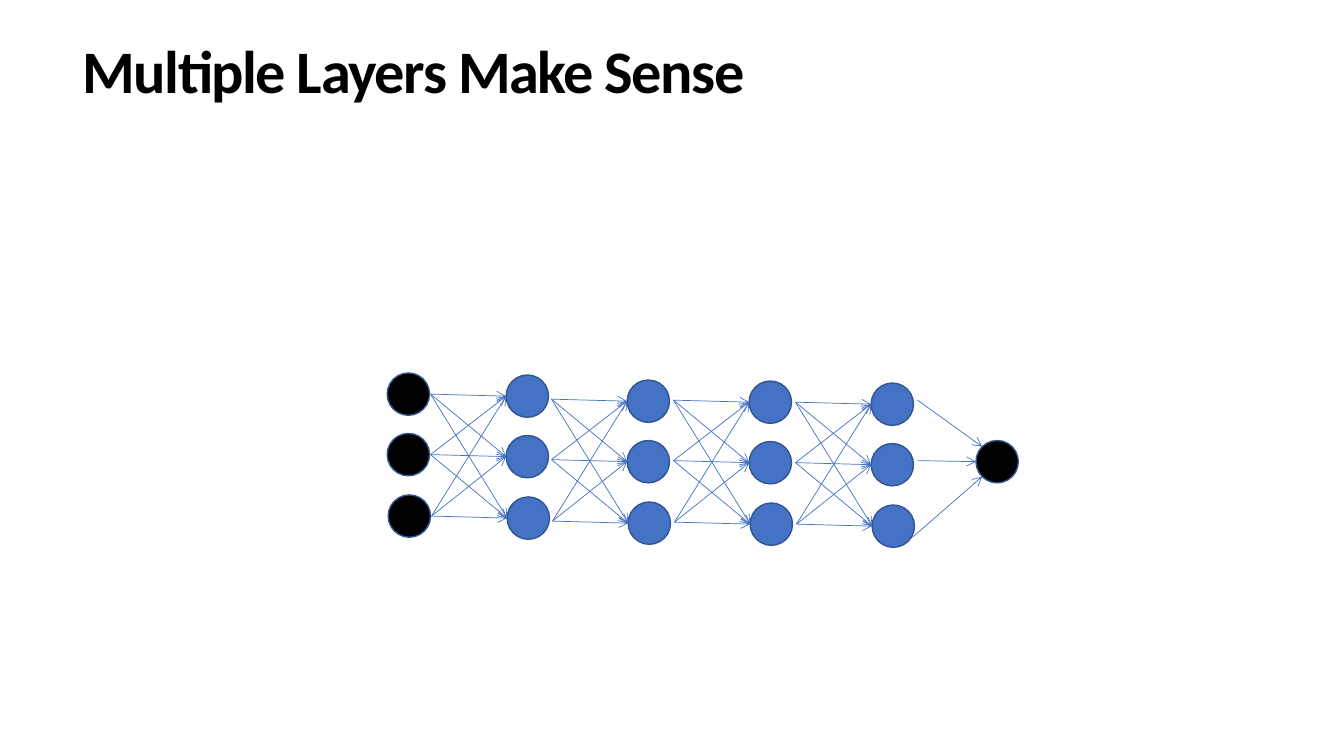
from dataclasses import dataclass

from lxml import etree
from pptx import Presentation
from pptx.dml.color import RGBColor
from pptx.enum.shapes import MSO_CONNECTOR, MSO_SHAPE
from pptx.enum.text import MSO_ANCHOR, MSO_AUTO_SIZE, PP_ALIGN
from pptx.oxml.ns import qn
from pptx.slide import Slide
from pptx.util import Inches, Pt

OVAL = MSO_SHAPE.OVAL
STRAIGHT = MSO_CONNECTOR.STRAIGHT
TOP = MSO_ANCHOR.TOP
FIXED = MSO_AUTO_SIZE.NONE
JUSTIFY = PP_ALIGN.JUSTIFY

BLACK, BLUE, EDGE = "000000", "4472C4", "325491"
SIZE = 0.42
HALF = SIZE / 2
ROWS = [(0, 0), (0, 0.6), (0.01, 1.21)]  # node offsets within a layer
TAIL = (-0.75, 0.19)  # arrow start relative to the layer it points to


@dataclass
class Layer:
    left: float
    top: float
    fill: str = BLUE


@dataclass
class Arrow:
    x1: float
    y1: float
    x2: float
    y2: float


LAYERS = [
    Layer(3.84, 3.7, BLACK),
    Layer(5.02, 3.72),
    Layer(6.22, 3.77),
    Layer(7.43, 3.78),
    Layer(8.64, 3.8),
]
EXITS = [
    Arrow(9.1, 3.97, 9.74, 4.43),
    Arrow(9.1, 4.57, 9.68, 4.58),
    Arrow(9.05, 5.33, 9.74, 4.73),
]


def color(code: str) -> RGBColor:
    return RGBColor.from_string(code)


def add_node(slide: Slide, left: float, top: float, fill: str) -> None:
    node = slide.shapes.add_shape(
        OVAL, Inches(left), Inches(top), Inches(SIZE), Inches(SIZE))
    node.shadow.inherit = False
    node.fill.solid()
    node.fill.fore_color.rgb = color(fill)
    node.line.color.rgb = color(EDGE)
    node.line.width = Pt(1)


def add_arrow(slide: Slide, arrow: Arrow) -> None:
    link = slide.shapes.add_connector(
        STRAIGHT, Inches(arrow.x1), Inches(arrow.y1),
        Inches(arrow.x2), Inches(arrow.y2))
    link.line.color.rgb = color(BLUE)
    link.line.width = Pt(0.5)
    props = link._element.spPr
    etree.SubElement(props.find(qn("a:ln")), qn("a:tailEnd"), type="arrow")
    etree.SubElement(props, qn("a:effectLst"))


def add_links(slide: Slide, layer: Layer) -> None:
    """Join every node of the layer before to every node of this one."""
    for dx, dy in ROWS:
        for ex, ey in ROWS:
            add_arrow(slide, Arrow(
                layer.left + TAIL[0] + dx, layer.top + TAIL[1] + dy,
                layer.left + ex, layer.top + HALF + ey))


def set_title(slide: Slide, text: str) -> None:
    title = slide.shapes.title
    title.left, title.top = Inches(0.72), Inches(0.36)
    title.width, title.height = Inches(12.75), Inches(0.98)
    frame = title.text_frame
    frame.word_wrap = True
    frame.auto_size = FIXED
    frame.vertical_anchor = TOP
    para = frame.paragraphs[0]
    para.alignment = JUSTIFY
    para.line_spacing = 0.9
    run = para.add_run()
    run.text = text
    run.font.name = "Calibri"
    run.font.size = Pt(43.1)
    run.font.bold = True
    run.font.color.rgb = color(BLACK)
    run.font._element.set("spc", "-100")


def main() -> None:
    deck = Presentation()
    deck.slide_width, deck.slide_height = Inches(13.33), Inches(7.5)
    slide = deck.slides.add_slide(deck.slide_layouts[5])
    set_title(slide, "Multiple Layers Make Sense")
    for layer in LAYERS:
        for dx, dy in ROWS:
            add_node(slide, layer.left + dx, layer.top + dy, layer.fill)
    for layer in LAYERS[1:]:
        add_links(slide, layer)
    add_node(slide, 9.68, 4.37, BLACK)
    for arrow in EXITS:
        add_arrow(slide, arrow)
    deck.save("out.pptx")


if __name__ == "__main__":
    main()
